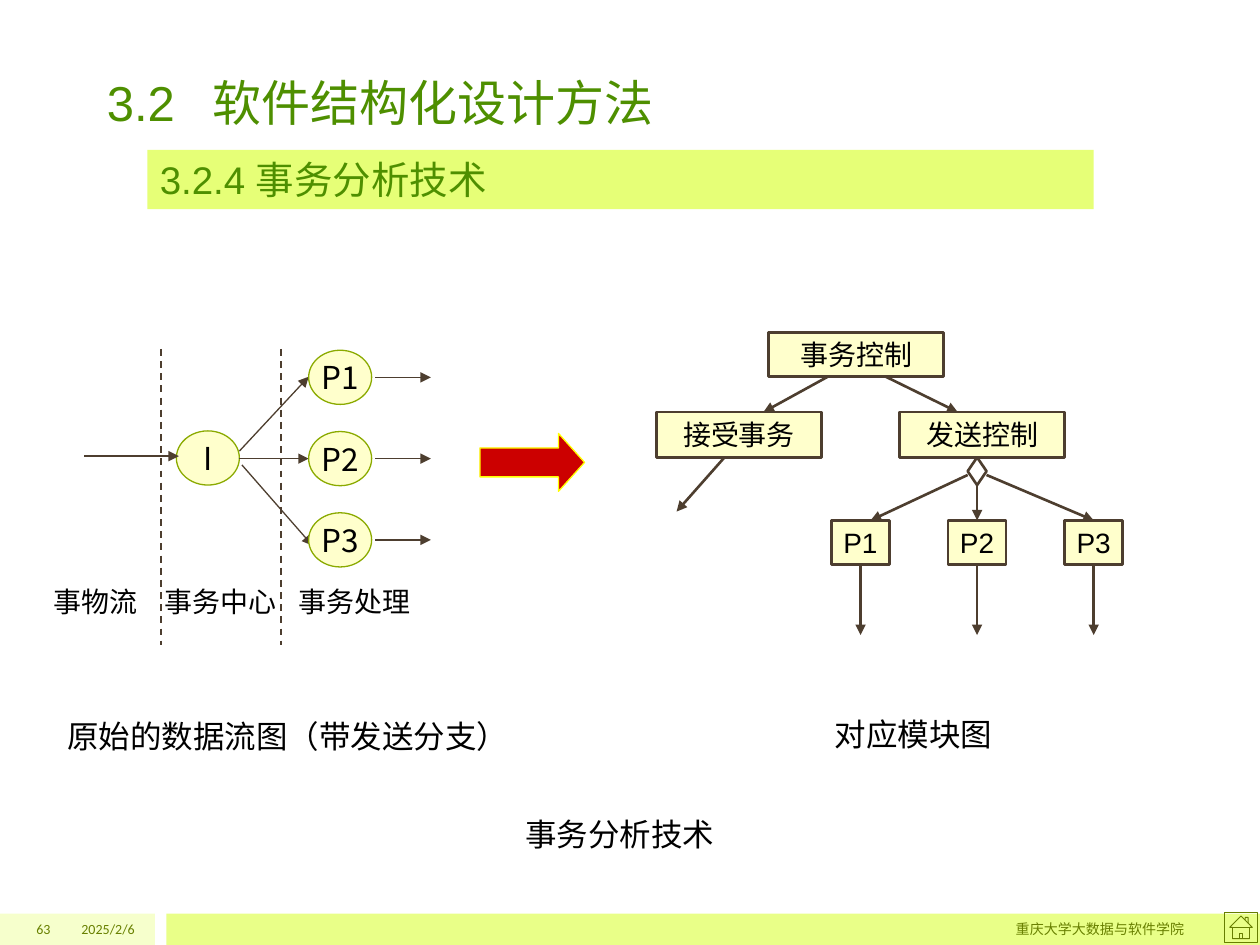
from collections import namedtuple

from lxml.etree import SubElement
from pptx import Presentation
from pptx.dml.color import RGBColor
from pptx.enum.dml import MSO_LINE_DASH_STYLE as Dash
from pptx.enum.shapes import MSO_CONNECTOR as Connector, MSO_SHAPE as Preset
from pptx.enum.text import MSO_ANCHOR as Anchor, PP_ALIGN as Align
from pptx.oxml.ns import qn
from pptx.util import Inches, Pt

GREEN = RGBColor(0x4E, 0x8F, 0x00)
OLIVE = RGBColor(0x68, 0x80, 0x00)
DARK_OLIVE = RGBColor(0x67, 0x7E, 0x00)
LEAF = RGBColor(0x8B, 0xAA, 0x00)
PALE_LIME = RGBColor(0xF6, 0xFF, 0xCC)
LIME = RGBColor(0xE9, 0xFF, 0x88)
BANNER_LIME = RGBColor(0xE6, 0xFF, 0x77)
CREAM = RGBColor(0xFF, 0xFF, 0xCC)
BROWN = RGBColor(0x4D, 0x3E, 0x2F)
RED = RGBColor(0xCC, 0x00, 0x00)
YELLOW = RGBColor(0xFF, 0xFF, 0x00)
BLACK = RGBColor(0x00, 0x00, 0x00)

CJK = "Noto Sans CJK SC"
COLUMNS, ROWS = 100, 75
TOP, LEFT, BOTTOM, RIGHT = range(4)

Joint = namedtuple("Joint", "shape side")


class Sketch:
    """Draws on one slide; places are (column, row, columns wide, rows high)."""

    def __init__(self, deck):
        self.slide = deck.slides.add_slide(deck.slide_layouts[6])
        self.column = deck.slide_width / COLUMNS
        self.row = deck.slide_height / ROWS

    def emu(self, *lengths):
        """Turn alternating columns and rows into slide lengths."""
        units = (self.column, self.row) * 2
        return [round(length * unit) for length, unit in zip(lengths, units)]

    def label(self, shape, text, size=16, font=CJK, color=BLACK, align=Align.CENTER,
              wrap=True, spacing=None, tab=None):
        frame = shape.text_frame
        frame.word_wrap = wrap
        frame.vertical_anchor = Anchor.MIDDLE
        para = frame.paragraphs[0]
        if tab:
            stops = SubElement(para._p.get_or_add_pPr(), qn("a:tabLst"))
            SubElement(stops, qn("a:tab"), pos=str(Inches(tab)), algn="l")
        for name, value in {"alignment": align, "line_spacing": spacing}.items():
            setattr(para, name, value)
        span = para.add_run()
        span.text = text
        for name, value in {"size": Pt(size), "name": font}.items():
            setattr(span.font, name, value)
        span.font.color.rgb = color
        SubElement(span._r.get_or_add_rPr(), qn("a:ea"), typeface=CJK)
        return shape

    def text(self, place, text, **style):
        return self.label(self.slide.shapes.add_textbox(*self.emu(*place)), text, **style)

    def shape(self, preset, place, fill=None, line=None, width=0.75):
        shape = self.slide.shapes.add_shape(preset, *self.emu(*place))
        shape.shadow.inherit = False
        for paint, color in ((shape.fill, fill), (shape.line.fill, line)):
            if color is None:
                paint.background()
            else:
                paint.solid()
                paint.fore_color.rgb = color
        if line is not None:
            shape.line.width = Pt(width)
        return shape

    def bubble(self, column, row, text):
        shape = self.shape(Preset.OVAL, (column, row, 5, 4.3), CREAM, LEAF)
        return self.label(shape, text, size=18, wrap=False)

    def module(self, place, text):
        shape = self.shape(Preset.RECTANGLE, place, CREAM, BROWN, 1.5)
        return self.label(shape, text, font="Arial", wrap=False)

    def line(self, start, end, width=0.75, dash=None, arrow=True):
        """Join two ends, each a (column, row) point or a Joint on a shape."""
        points = [(0, 0) if isinstance(spot, Joint) else spot for spot in (start, end)]
        link = self.slide.shapes.add_connector(
            Connector.STRAIGHT, *self.emu(*points[0], *points[1]))
        for spot, connect in ((start, link.begin_connect), (end, link.end_connect)):
            if isinstance(spot, Joint):
                connect(spot.shape, spot.side)
        link.line.color.rgb = BROWN
        link.line.width = Pt(width)
        if dash:
            link.line.dash_style = dash
        if arrow:
            outline = link._element.spPr.find(qn("a:ln"))
            SubElement(outline, qn("a:tailEnd"), type="triangle")
        SubElement(link._element.spPr, qn("a:effectLst"))


def draw_frame(sketch):
    """Title, section banner and footer."""
    sketch.shape(Preset.RECTANGLE, (0, 72.5, 12.3, 2.5), PALE_LIME)
    sketch.shape(Preset.RECTANGLE, (13.2, 72.5, 86.8, 2.5), LIME)
    sketch.shape(Preset.ACTION_BUTTON_HOME, (97.2, 72.4, 2.6, 2.4), None, DARK_OLIVE, 0.5)
    title = sketch.text((7.5, 3.8, 85.1, 7.1), "3.2\t软件结构化设计方法", size=28,
                        font="Arial", color=GREEN, align=Align.LEFT, tab=0.84)
    title.text_frame.vertical_anchor = Anchor.BOTTOM
    for column, width, text in ((5, 6.7, "2025/2/6"), (20, 75, "重庆大学大数据与软件学院"),
                                (0, 5, "63")):
        sketch.text((column, 72.5, width, 2.5), text, size=8, font="Calibri",
                    color=OLIVE, align=Align.RIGHT)
    banner = sketch.shape(Preset.RECTANGLE, (11.7, 11.9, 75.1, 4.7), BANNER_LIME)
    sketch.label(banner, "3.2.4 事务分析技术", size=22, font="Arial", color=GREEN,
                 align=Align.LEFT)


def draw_data_flow(sketch):
    sketch.bubble(14, 34.2, "I")
    starts = ((19, 35.8), (19, 36.4), (19.2, 36.9))
    ends = ((24.5, 29.9), (24.5, 36.4), (24.8, 43.3))
    for index, (start, end) in enumerate(zip(starts, ends)):
        top = 27.8 + 6.45 * index
        middle = top + 2.15
        sketch.line(start, end)
        sketch.bubble(24.5, top, f"P{index + 1}")
        sketch.line((29.8, middle), (34.2, middle))
    for column in (12.8, 22.3):
        sketch.line((column, 27.7), (column, 51.2), 1, Dash.DASH, arrow=False)
    for column, width, text in ((3.3, 12.4, "事物流"), (12.1, 12.5, "事务中心"),
                                (22.7, 13.1, "事务处理")):
        sketch.text((column, 45.9, width, 3.7), text, align=Align.LEFT)
    sketch.line((6.7, 36.2), (14.2, 36.2))


def draw_modules(sketch):
    sketch.module((61, 26.4, 13.9, 3.5), "事务控制")
    sketch.module((52.1, 32.7, 13.1, 3.6), "接受事务")
    sketch.module((71.4, 32.7, 13.1, 3.6), "发送控制")
    choice = sketch.shape(Preset.DIAMOND, (76.8, 36.3, 1.5, 2.2), None, BROWN, 1.5)
    branches = [sketch.module((66 + 9.25 * index, 41.3, 4.6, 3.5), f"P{index + 1}")
                for index in range(3)]
    links = [((65.7, 29.9), (60.6, 32.7)),
             ((70.3, 29.9), (76, 32.7)),
             ((57.5, 36.3), (53.7, 40.6)),
             ((76.8, 37.7), (69.1, 41.3)),
             (Joint(choice, BOTTOM), Joint(branches[1], TOP)),
             ((78.3, 37.7), Joint(branches[2], TOP))]
    links += [(Joint(branch, BOTTOM), (68.3 + 9.25 * index, 50.4))
              for index, branch in enumerate(branches)]
    for start, end in links:
        sketch.line(start, end, 1.5)


def main():
    deck = Presentation()
    deck.slide_width, deck.slide_height = Inches(10), Inches(7.5)
    sketch = Sketch(deck)
    draw_frame(sketch)
    arrow = sketch.shape(Preset.RIGHT_ARROW, (38.1, 34.4, 8.3, 4.6), RED, YELLOW)
    arrow.adjustments[1] = 0.45
    draw_data_flow(sketch)
    draw_modules(sketch)
    sketch.text((2.9, 57, 39.9, 3.4), "原始的数据流图（带发送分支）", size=18, spacing=0.8)
    sketch.text((57.1, 56.8, 30.8, 3.5), "对应模块图", size=18, spacing=0.8)
    caption = sketch.text((33.7, 64.2, 28.3, 4), "事务分析技术", size=18)
    caption.text_frame.margin_left = Inches(0.37)
    deck.save("out.pptx")


if __name__ == "__main__":
    main()
